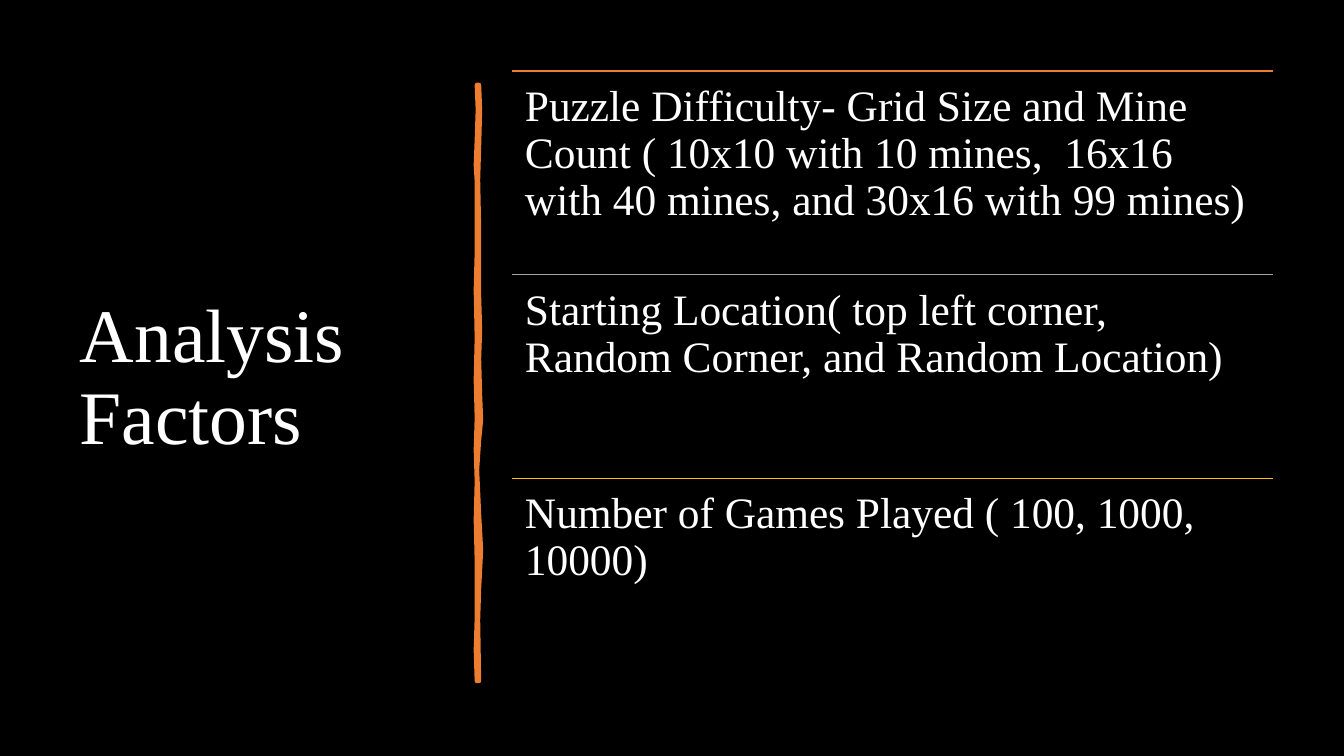
from dataclasses import dataclass

from lxml.etree import SubElement
from pptx import Presentation
from pptx.dml.color import RGBColor as Rgb
from pptx.enum.shapes import MSO_CONNECTOR as Link
from pptx.enum.text import MSO_ANCHOR as Anchor
from pptx.oxml.ns import qn
from pptx.util import Pt


@dataclass(frozen=True)
class Theme:
    back: str = "000000"
    ink: str = "FFFFFF"
    bar: str = "ED7D31"
    font: str = "Times New Roman"
    head: int = 54
    body: int = 31
    rule: int = 1
    brush: float = 3.25


THEME = Theme()
TITLE = "Analysis Factors"
FACTORS = [
    ("Puzzle Difficulty- Grid Size and Mine Count ( 10x10 with 10 mines,  16x16 "
     "with 40 mines, and 30x16 with 99 mines)", "ED7D31"),
    ("Starting Location( top left corner, Random Corner, and Random Location)", "A5A5A5"),
    ("Number of Games Played ( 100, 1000, 10000)", "FFC000"),
]
RIGHT = [(479, 85), (480, 110), (479, 147), (478, 180), (479, 228), (479, 296),
         (480, 330), (479, 359), (480, 395), (481, 420), (479, 440), (477, 470),
         (479, 514), (481, 550), (479, 589), (478, 620), (479, 681)]
LEFT = [(477, 681), (476, 650), (477, 618), (477, 561), (476, 520), (477, 481),
        (476, 450), (477, 418), (476, 380), (477, 338), (476, 290), (477, 252),
        (477, 182), (476, 165), (477, 140), (478, 110), (477, 85)]
HEAD = (70, 71, 377, 616)
LIST = (512, 71, 761, 611)
SCALE = 914400 / 100.8


def px(n):
    return round(n * SCALE)


def put_text(slide, text, box, size=THEME.body, anchor=Anchor.TOP, pad=(13, 13), after=0):
    frame = slide.shapes.add_textbox(*map(px, box)).text_frame
    frame.word_wrap = True
    frame.vertical_anchor = anchor
    frame.margin_left = frame.margin_right = px(pad[0])
    frame.margin_top = frame.margin_bottom = px(pad[1])
    para = frame.paragraphs[0]
    para.line_spacing = 0.9
    para.space_after = Pt(after)
    run = para.add_run()
    run.text = text
    run.font.name = THEME.font
    run.font.size = Pt(size)
    run.font.color.rgb = Rgb.from_string(THEME.ink)


def put_rule(slide, left, top, width, color):
    rule = slide.shapes.add_connector(
        Link.STRAIGHT, px(left), px(top), px(left + width), px(top))
    rule.line.color.rgb = Rgb.from_string(color)
    rule.line.width = Pt(THEME.rule)
    SubElement(rule._element.spPr, qn("a:effectLst"))


def put_bar(slide):
    edge = RIGHT + LEFT
    pen = slide.shapes.build_freeform(*edge[0], scale=SCALE)
    pen.add_line_segments(edge[1:], close=True)
    bar = pen.convert_to_shape()
    bar.shadow.inherit = False
    color = Rgb.from_string(THEME.bar)
    bar.fill.solid()
    bar.fill.fore_color.rgb = color
    bar.line.color.rgb = color
    bar.line.width = Pt(THEME.brush)
    SubElement(bar.line._get_or_add_ln(), qn("a:round"))


def main():
    deck = Presentation()
    deck.slide_width, deck.slide_height = px(1344), px(756)
    slide = deck.slides.add_slide(deck.slide_layouts[6])
    fill = slide.background.fill
    fill.solid()
    fill.fore_color.rgb = Rgb.from_string(THEME.back)

    put_text(slide, TITLE, HEAD, size=THEME.head, anchor=Anchor.MIDDLE, pad=(10, 5))
    put_bar(slide)
    left, top, width, height = LIST
    step = height / len(FACTORS)
    for i, (text, color) in enumerate(FACTORS):
        y = top + i * step
        put_rule(slide, left, y, width, color)
        put_text(slide, text, (left, y, width, step), after=11)
    deck.save("out.pptx")


if __name__ == "__main__":
    main()
